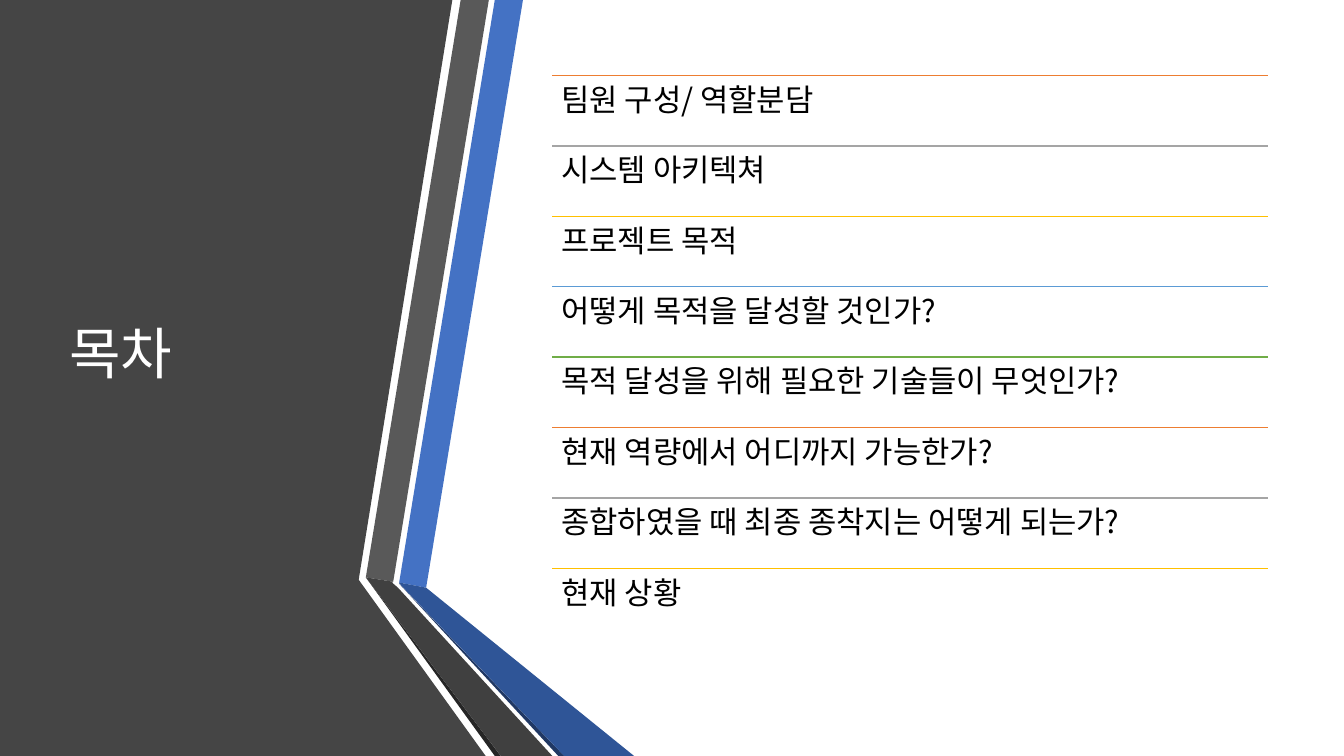
from pptx import Presentation
from pptx import util as u
from pptx.dml.color import RGBColor
from pptx.enum import shapes, text
from pptx.oxml.ns import qn
from lxml import etree

FONT = "Noto Sans CJK KR"


def rgb(hex_string):
    return RGBColor.from_string(hex_string)


def add_text(words, left, top, width, height, size, color, anchor, inset):
    frame = slide.shapes.add_textbox(
        u.Cm(left), u.Cm(top), u.Cm(width), u.Cm(height)).text_frame
    frame.word_wrap = True
    frame.vertical_anchor = anchor
    frame.margin_left = frame.margin_right = u.Cm(inset)
    frame.margin_top = frame.margin_bottom = u.Cm(inset)
    paragraph = frame.paragraphs[0]
    paragraph.line_spacing = 0.9
    run = paragraph.add_run()
    run.text = words
    run.font.size = u.Pt(size)
    run.font.name = FONT
    run.font.color.rgb = rgb(color)
    # Korean letters take the East Asian typeface
    etree.SubElement(run.font._element, qn("a:ea"), typeface=FONT)


deck = Presentation()
deck.slide_width, deck.slide_height = u.Cm(33.87), u.Cm(19.05)
slide = deck.slides.add_slide(deck.slide_layouts[6])

# Left panel and folded ribbons, corners in hundredths of a centimetre
ribbons = [
    ("454545", [(0, 0), (1140, 0), (904, 1461), (1224, 1905), (0, 1905)]),
    ("4472C4", [(1006, 1468), (1074, 1481), (1318, 0), (1247, 0)]),
    ("595959", [(1232, 0), (1161, 0), (922, 1455), (991, 1466)]),
    ("262626", [(922, 1455), (1247, 1905), (1262, 1905)]),
    ("203864", [(1006, 1471), (1407, 1905), (1422, 1905)]),
    ("2F5597", [(1006, 1470), (1422, 1905), (1598, 1905), (1074, 1481),
                (1006, 1468)]),
    ("404040", [(1392, 1905), (1003, 1481), (988, 1468), (991, 1466),
                (922, 1455), (1262, 1905)]),
]
for color, corners in ribbons:
    builder = slide.shapes.build_freeform(*corners[0], scale=u.Cm(0.01))
    builder.add_line_segments(corners[1:], close=True)
    ribbon = builder.convert_to_shape()
    ribbon.shadow.inherit = False
    ribbon.fill.solid()
    ribbon.fill.fore_color.rgb = rgb(color)
    ribbon.line.fill.background()

# Title
add_text("목차", 1.5, 1.9, 7.72, 14.17, size=40, color="FFFFFF",
         anchor=text.MSO_ANCHOR.MIDDLE, inset=0.25)

# Agenda: a coloured rule above each topic
topics = [
    "팀원 구성/ 역할분담",
    "시스템 아키텍쳐",
    "프로젝트 목적",
    "어떻게 목적을 달성할 것인가?",
    "목적 달성을 위해 필요한 기술들이 무엇인가?",
    "현재 역량에서 어디까지 가능한가?",
    "종합하였을 때 최종 종착지는 어떻게 되는가?",
    "현재 상황",
]
rule_colors = ["ED7D31", "A5A5A5", "FFC000", "5B9BD5", "70AD47"]
agenda_left, agenda_top, agenda_width, agenda_height = 13.92, 1.9, 18.03, 14.2
row_height = agenda_height / len(topics)

for row, topic in enumerate(topics):
    top = agenda_top + row * row_height
    rule = slide.shapes.add_connector(
        shapes.MSO_CONNECTOR.STRAIGHT, u.Cm(agenda_left), u.Cm(top),
        u.Cm(agenda_left + agenda_width), u.Cm(top))
    rule.line.color.rgb = rgb(rule_colors[row % len(rule_colors)])
    rule.line.width = u.Pt(1)
    etree.SubElement(rule._element.spPr, qn("a:effectLst"))
    add_text(topic, agenda_left, top, agenda_width, row_height, size=22,
             color="000000", anchor=text.MSO_ANCHOR.TOP, inset=0.23)

deck.save("out.pptx")
